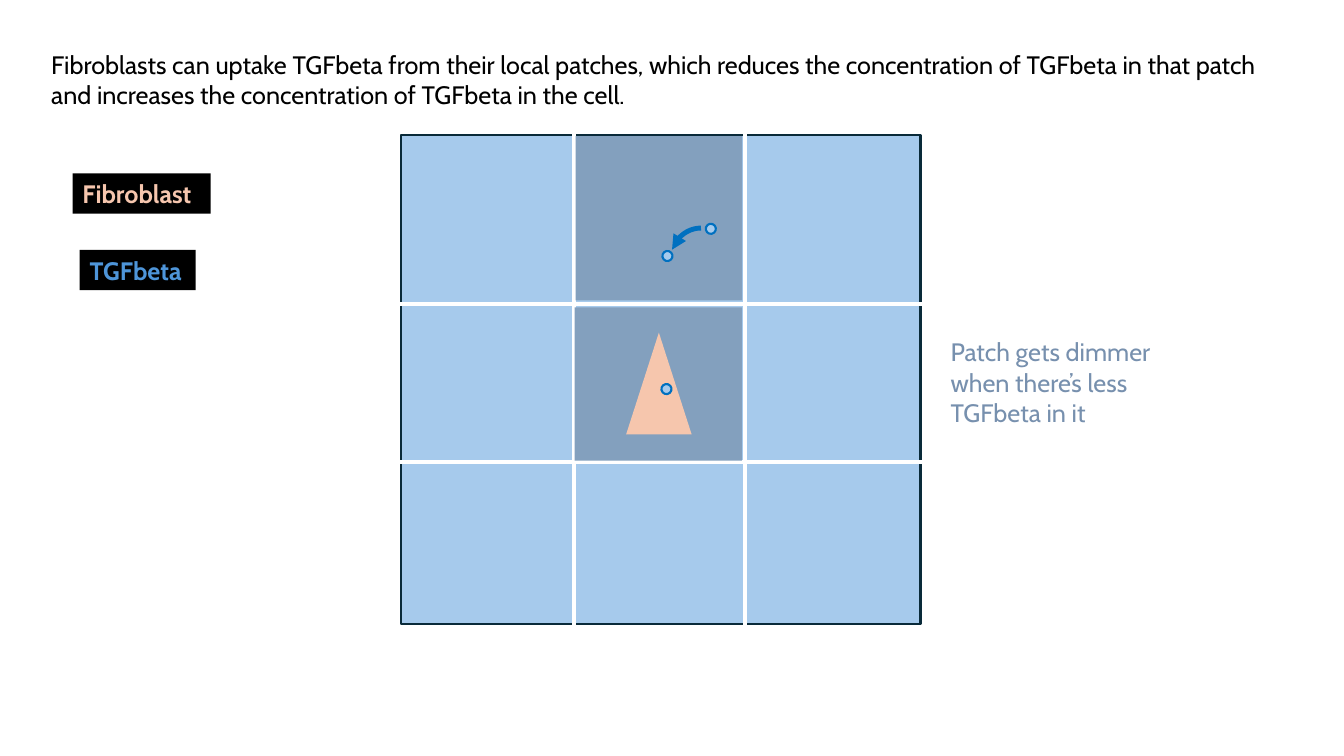
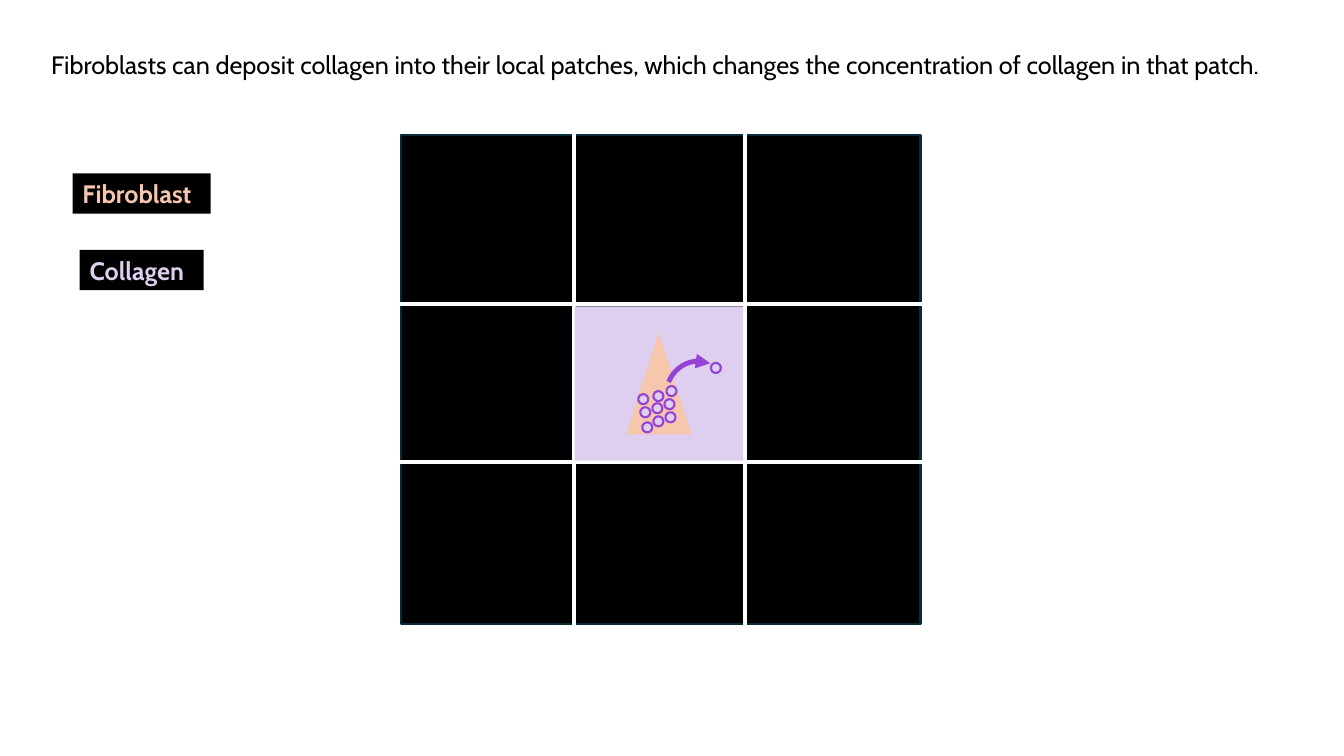
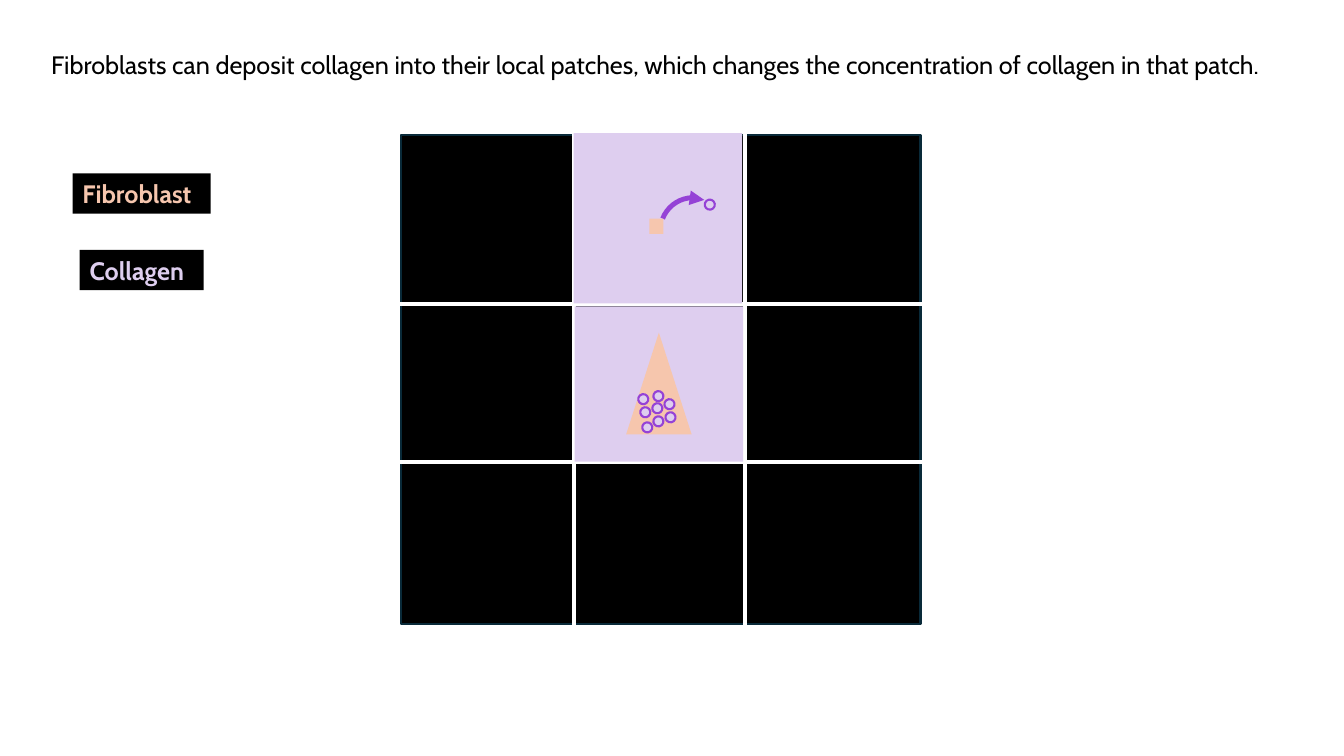
"""Draw three slides on how fibroblasts exchange TGFbeta and collagen with their patches."""
from dataclasses import dataclass
from typing import Optional

from lxml.etree import SubElement
from pptx import Presentation
from pptx.dml.color import RGBColor
from pptx.enum.shapes import MSO_CONNECTOR, MSO_SHAPE
from pptx.enum.text import MSO_ANCHOR, PP_ALIGN
from pptx.oxml.ns import qn
from pptx.shapes.autoshape import Shape
from pptx.slide import Slide
from pptx.util import Pt

EMU_PER_PX = 9144
FONT = "Cabin"
BLACK, WHITE = "000000", "FFFFFF"
GRID_EDGE = "092A39"
CELL, CELL_LABEL = "F6C6AD", "F6C6AE"
NOTE_COLOR = "7790AE"
MOLECULE_TILT = 349.3
GRID_LINE_LENGTH = 557


@dataclass(frozen=True)
class Box:
    left: int
    top: int
    width: int
    height: int


@dataclass(frozen=True)
class Molecule:
    name: str
    label_width: int
    label_color: str
    fill: str
    outline: str
    grid_fill: str
    patch_fill: str


@dataclass(frozen=True)
class Arc:
    box: Box
    rotation: float
    start: Optional[float] = None
    flipped: bool = False


TGFBETA = Molecule("TGFbeta", 115, "4E95D9", "A6CAEC", "0070C0", "A6CAEC", "83A0BE")
COLLAGEN = Molecule("Collagen", 123, "DECEEF", "DECEEF", "9542D6", BLACK, "DECEEF")
GRID = Box(398, 134, 515, 485)
FIBROBLAST = Box(621, 330, 65, 101)
VERTICAL_LINES = [(569, 116), (739, 124)]
HORIZONTAL_LINES = [(382, 302), (386, 458)]
STORED_COLLAGEN = [
    (633, 391), (647, 400), (660, 409), (659, 396),
    (648, 388), (648, 413), (635, 404), (637, 419),
]
UPTAKE_TITLE = [
    "Fibroblasts can uptake TGFbeta from their local patches, "
    "which reduces the concentration of TGFbeta in that patch",
    "and increases the concentration of TGFbeta in the cell.",
]
DEPOSIT_TITLE = [
    "Fibroblasts can deposit collagen into their local patches, "
    "which changes the concentration of collagen in that patch.",
]


def px(length: int) -> int:
    return length * EMU_PER_PX


def color(value: str) -> RGBColor:
    return RGBColor.from_string(value)


def add_shape(slide: Slide, kind: MSO_SHAPE, box: Box, fill: Optional[str],
              outline: Optional[str] = None, weight: float = 1.5) -> Shape:
    shape = slide.shapes.add_shape(
        kind, px(box.left), px(box.top), px(box.width), px(box.height))
    shape.shadow.inherit = False
    if fill:
        shape.fill.solid()
        shape.fill.fore_color.rgb = color(fill)
    else:
        shape.fill.background()
    if outline:
        shape.line.color.rgb = color(outline)
        shape.line.width = Pt(weight)
    else:
        shape.line.fill.background()
    return shape


def add_text(slide: Slide, box: Box, lines: list[str], text_color: str,
             fill: Optional[str] = None, bold: bool = False) -> None:
    shape = add_shape(slide, MSO_SHAPE.RECTANGLE, box, fill)
    text_frame = shape.text_frame
    text_frame.word_wrap = True
    text_frame.vertical_anchor = MSO_ANCHOR.TOP
    text_frame.text = "\n".join(lines)
    for paragraph in text_frame.paragraphs:
        paragraph.alignment = PP_ALIGN.LEFT
        for run in paragraph.runs:
            run.font.name = FONT
            run.font.size = Pt(18)
            run.font.bold = bold
            run.font.color.rgb = color(text_color)


def add_grid_line(slide: Slide, left: int, top: int, width: int, height: int) -> None:
    connector = slide.shapes.add_connector(
        MSO_CONNECTOR.STRAIGHT, px(left), px(top), px(left + width), px(top + height))
    connector.line.color.rgb = color(WHITE)
    connector.line.width = Pt(3)
    SubElement(connector._element.spPr, qn("a:effectLst"))


def add_grid(slide: Slide, fill: str) -> None:
    add_shape(slide, MSO_SHAPE.RECTANGLE, GRID, fill, GRID_EDGE)
    for left, top in VERTICAL_LINES:
        add_grid_line(slide, left, top, 0, GRID_LINE_LENGTH)
    for left, top in HORIZONTAL_LINES:
        add_grid_line(slide, left, top, GRID_LINE_LENGTH, 0)


def add_molecules(slide: Slide, molecule: Molecule, places: list[tuple[int, int]]) -> None:
    for left, top in places:
        circle = add_shape(slide, MSO_SHAPE.OVAL, Box(left, top, 10, 10),
                           molecule.fill, molecule.outline)
        circle.rotation = MOLECULE_TILT


def add_arc_arrow(slide: Slide, arc: Arc, outline: str) -> None:
    shape = add_shape(slide, MSO_SHAPE.ARC, arc.box, None, outline, 3.5)
    shape.rotation = arc.rotation
    if arc.start is not None:
        shape.adjustments[0] = arc.start
    if arc.flipped:
        shape._element.spPr.find(qn("a:xfrm")).set("flipH", "1")
    SubElement(shape.line._get_or_add_ln(), qn("a:tailEnd"), type="triangle")


def add_release(slide: Slide, left: int, top: int) -> None:
    add_arc_arrow(slide, Arc(Box(left, top, 65, 63), 291.7), COLLAGEN.outline)
    add_molecules(slide, COLLAGEN, [(left + 45, top + 1)])


def add_scene(presentation: Presentation, molecule: Molecule, title: list[str],
              title_box: Box, patches: list[Box]) -> Slide:
    slide = presentation.slides.add_slide(presentation.slide_layouts[6])
    add_grid(slide, molecule.grid_fill)
    for patch in patches:
        add_shape(slide, MSO_SHAPE.RECTANGLE, patch, molecule.patch_fill)
    add_text(slide, Box(72, 172, 137, 40), ["Fibroblast"], CELL_LABEL, BLACK, True)
    add_text(slide, Box(79, 248, molecule.label_width, 40), [molecule.name],
             molecule.label_color, BLACK, True)
    add_text(slide, title_box, title, BLACK)
    add_shape(slide, MSO_SHAPE.ISOSCELES_TRIANGLE, FIBROBLAST, CELL)
    return slide


def add_uptake_slide(presentation: Presentation) -> None:
    slide = add_scene(presentation, TGFBETA, UPTAKE_TITLE, Box(41, 44, 1261, 71),
                      [Box(571, 135, 165, 163), Box(570, 305, 166, 152)])
    add_arc_arrow(slide, Arc(Box(665, 226, 57, 62), 19.1, 171.5, True), TGFBETA.outline)
    add_molecules(slide, TGFBETA, [(656, 381), (700, 222), (657, 249)])
    add_text(slide, Box(933, 329, 249, 101),
             ["Patch gets dimmer when there’s less TGFbeta in it"], NOTE_COLOR)


def add_deposit_slide(presentation: Presentation, patches: list[Box]) -> Slide:
    slide = add_scene(presentation, COLLAGEN, DEPOSIT_TITLE, Box(41, 44, 1265, 40), patches)
    add_molecules(slide, COLLAGEN, STORED_COLLAGEN)
    return slide


def main() -> None:
    presentation = Presentation()
    presentation.slide_width = px(1333)
    presentation.slide_height = px(750)

    add_uptake_slide(presentation)

    inside_patch = add_deposit_slide(presentation, [Box(570, 304, 167, 153)])
    add_molecules(inside_patch, COLLAGEN, [(661, 383)])
    add_release(inside_patch, 660, 359)

    next_patch = add_deposit_slide(
        presentation, [Box(570, 304, 167, 154), Box(569, 132, 167, 169)])
    add_release(next_patch, 654, 197)
    add_shape(next_patch, MSO_SHAPE.RECTANGLE, Box(644, 217, 14, 15), CELL_LABEL)

    presentation.save("out.pptx")


if __name__ == "__main__":
    main()
